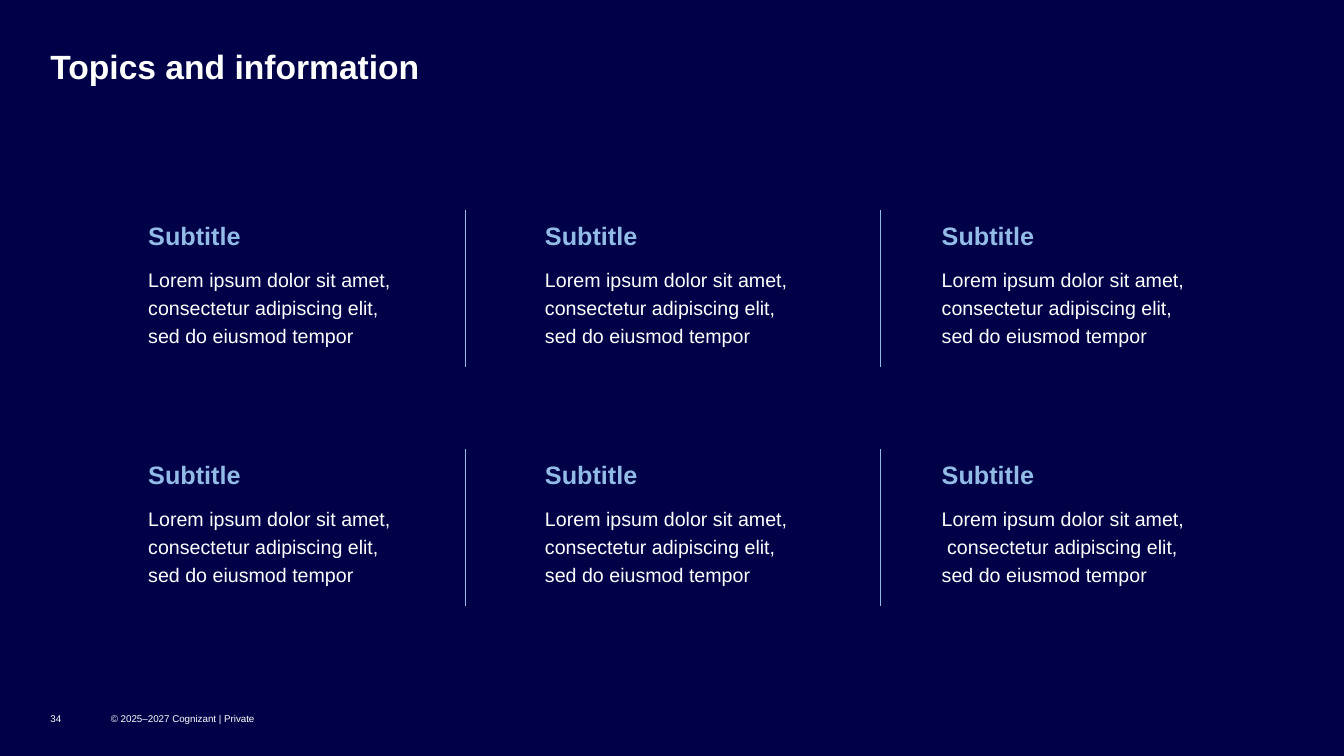
from copy import deepcopy
from itertools import product

from lxml.etree import SubElement
from pptx import Presentation
from pptx.dml.color import RGBColor
from pptx.enum.shapes import MSO_CONNECTOR
from pptx.enum.text import MSO_ANCHOR, MSO_AUTO_SIZE, PP_ALIGN
from pptx.oxml.ns import qn
from pptx.util import Inches, Pt

NAVY = RGBColor(0x00, 0x00, 0x48)
SKY = RGBColor(0x92, 0xBB, 0xE6)
WHITE = RGBColor(0xFF, 0xFF, 0xFF)
FONT = "Arial"

# Topic grid, in inches
COLUMNS, ROWS = 3, 2
FIRST_COLUMN, LAST_COLUMN = 1.47, 9.34
COLUMN_STEP = (LAST_COLUMN - FIRST_COLUMN) / (COLUMNS - 1)
TOPIC_WIDTH = 3.25
FIRST_ROW, ROW_STEP = 2.08, 2.37
SUBTITLE_DROP, DETAIL_DROP = 0.11, 0.53
FIRST_DIVIDER, DIVIDER_STEP, DIVIDER_HEIGHT = 4.62, 4.11, 1.56
MARGIN = 0.5
FOOTER_TOP, FOOTER_HEIGHT = 7, 0.25

DETAIL = "Lorem ipsum dolor sit amet,\nconsectetur adipiscing elit,\nsed do eiusmod tempor"
LAST_DETAIL = DETAIL.replace("\n", "\n ", 1)


def write(shape, text, size, color=WHITE, bold=False, spacing=1.0,
          anchor=MSO_ANCHOR.TOP, right_inset=0, grow=False):
    """Fill a shape with one formatted paragraph."""
    frame = shape.text_frame
    frame.word_wrap = True
    frame.auto_size = MSO_AUTO_SIZE.SHAPE_TO_FIT_TEXT if grow else MSO_AUTO_SIZE.NONE
    frame.vertical_anchor = anchor
    frame.margin_left = frame.margin_top = frame.margin_bottom = 0
    frame.margin_right = Inches(right_inset)
    paragraph = frame.paragraphs[0]
    paragraph.text = text
    paragraph.alignment = PP_ALIGN.LEFT
    paragraph.line_spacing = spacing
    for run in paragraph.runs:
        run.font.name = FONT
        run.font.size = Pt(size)
        run.font.bold = bold
        run.font.color.rgb = color
    # Line breaks take the format of the text around them
    for line_break in paragraph._p.findall(qn("a:br")):
        line_break.append(deepcopy(paragraph.runs[0]._r.rPr))


def add_label(slide, left, top, width, height, text, size, **style):
    label = slide.shapes.add_textbox(
        Inches(left), Inches(top), Inches(width), Inches(height))
    write(label, text, size, **style)


def add_title(slide, text):
    title = slide.shapes.title
    title.left, title.top = Inches(MARGIN), Inches(MARGIN)
    title.width, title.height = Inches(12.33), Inches(0.36)
    write(title, text, 24, bold=True, spacing=0.9, grow=True)


def add_topic(slide, column, row, subtitle, detail):
    left = FIRST_COLUMN + column * COLUMN_STEP
    top = FIRST_ROW + row * ROW_STEP
    add_label(slide, left, top + SUBTITLE_DROP, TOPIC_WIDTH, 0.33, subtitle, 18,
              color=SKY, bold=True, right_inset=0.13)
    add_label(slide, left, top + DETAIL_DROP, TOPIC_WIDTH, 0.82, detail, 14,
              spacing=1.2, grow=True)


def add_divider(slide, column, row):
    x = Inches(FIRST_DIVIDER + column * DIVIDER_STEP)
    top = FIRST_ROW + row * ROW_STEP
    divider = slide.shapes.add_connector(
        MSO_CONNECTOR.STRAIGHT, x, Inches(top), x, Inches(top + DIVIDER_HEIGHT))
    divider.line.color.rgb = SKY
    divider.line.width = Pt(1)
    SubElement(divider._element.spPr, qn("a:effectLst"))


def main():
    deck = Presentation()
    deck.slide_width, deck.slide_height = Inches(13.33), Inches(7.5)
    slide = deck.slides.add_slide(deck.slide_layouts[5])
    slide.background.fill.solid()
    slide.background.fill.fore_color.rgb = NAVY

    add_title(slide, "Topics and information")

    # Topics, column by column
    for column, row in product(range(COLUMNS), range(ROWS)):
        is_last = (column, row) == (COLUMNS - 1, ROWS - 1)
        add_topic(slide, column, row, "Subtitle", LAST_DETAIL if is_last else DETAIL)

    # Dividers between the columns
    for column, row in product(range(COLUMNS - 1), range(ROWS)):
        add_divider(slide, column, row)

    # Footer
    for left, width, text in ((MARGIN, 0.4, "34"),
                              (1.1, 1.5, "© 2025–2027 Cognizant | Private")):
        add_label(slide, left, FOOTER_TOP, width, FOOTER_HEIGHT, text, 7,
                  anchor=MSO_ANCHOR.MIDDLE)

    deck.save("out.pptx")


if __name__ == "__main__":
    main()
